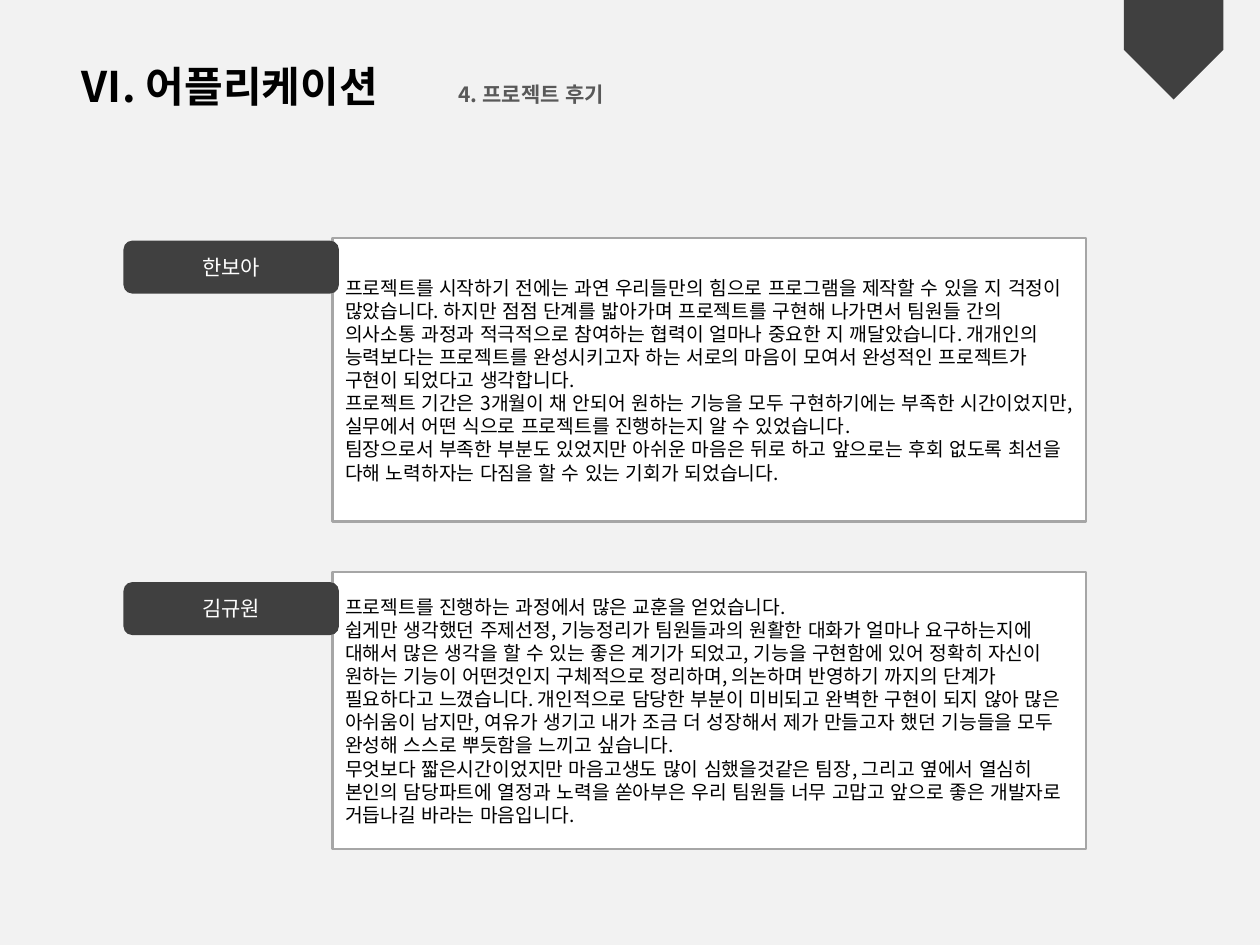
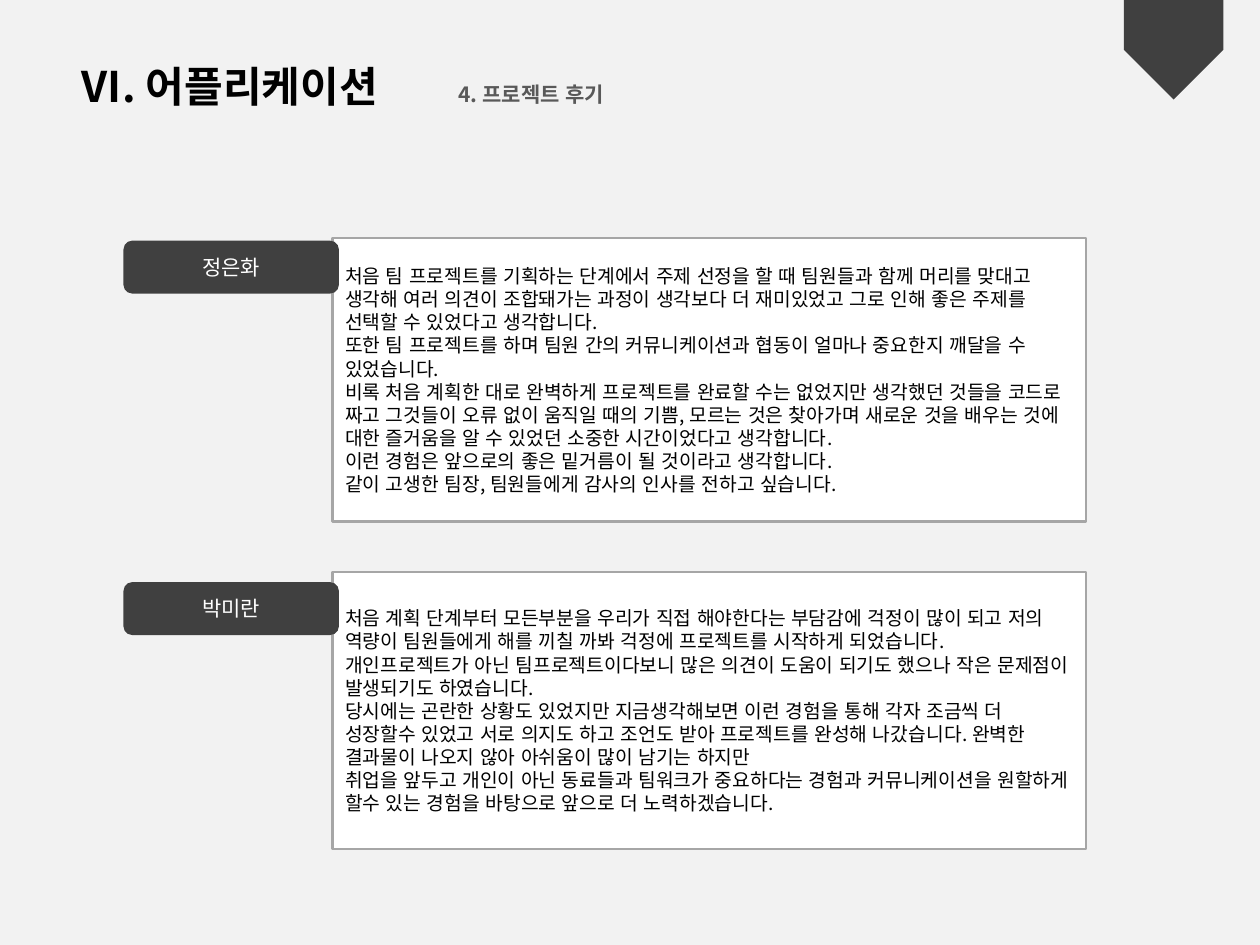
"""Build two slides of project reviews, two team members on each."""
from lxml.etree import SubElement
from pptx import Presentation
from pptx.dml.color import RGBColor
from pptx.enum.lang import MSO_LANGUAGE_ID
from pptx.enum.shapes import MSO_SHAPE
from pptx.enum.text import MSO_ANCHOR, MSO_AUTO_SIZE, PP_ALIGN
from pptx.oxml.ns import qn
from pptx.util import Inches, Pt

FONT = "Noto Sans CJK KR"
HUES = {"back": "F2F2F2", "dark": "404040", "edge": "A6A6A6",
        "ink": "000000", "soft": "595959", "white": "FFFFFF"}

TITLE = "Ⅵ. 어플리케이션\t"
TOPIC = "4. 프로젝트 후기"

PAGES = [
    [
        ("한보아", [
            "프로젝트를 시작하기 전에는 과연 우리들만의 힘으로 프로그램을 제작할 수 있을 지 걱정이 많았습니다. "
            "하지만 점점 단계를 밟아가며 프로젝트를 구현해 나가면서 팀원들 간의 의사소통 과정과 적극적으로 "
            "참여하는 협력이 얼마나 중요한 지 깨달았습니다. 개개인의 능력보다는 프로젝트를 완성시키고자 하는 "
            "서로의 마음이 모여서 완성적인 프로젝트가 구현이 되었다고 생각합니다.",
            "프로젝트 기간은 3개월이 채 안되어 원하는 기능을 모두 구현하기에는 부족한 시간이었지만, "
            "실무에서 어떤 식으로 프로젝트를 진행하는지 알 수 있었습니다.",
            "팀장으로서 부족한 부분도 있었지만 아쉬운 마음은 뒤로 하고 앞으로는 후회 없도록 최선을 다해 "
            "노력하자는 다짐을 할 수 있는 기회가 되었습니다.",
        ]),
        ("김규원", [
            "프로젝트를 진행하는 과정에서 많은 교훈을 얻었습니다.",
            "쉽게만 생각했던 주제선정, 기능정리가 팀원들과의 원활한 대화가 얼마나 요구하는지에 대해서 많은 "
            "생각을 할 수 있는 좋은 계기가 되었고, 기능을 구현함에 있어 정확히 자신이 원하는 기능이 "
            "어떤것인지 구체적으로 정리하며, 의논하며 반영하기 까지의 단계가 필요하다고 느꼈습니다. "
            "개인적으로 담당한 부분이 미비되고 완벽한 구현이 되지 않아 많은 아쉬움이 남지만, 여유가 생기고 "
            "내가 조금 더 성장해서 제가 만들고자 했던 기능들을 모두 완성해 스스로 뿌듯함을 느끼고 싶습니다.",
            "무엇보다 짧은시간이었지만 마음고생도 많이 심했을것같은 팀장, 그리고 옆에서 열심히 본인의 "
            "담당파트에 열정과 노력을 쏟아부은 우리 팀원들 너무 고맙고 앞으로 좋은 개발자로 거듭나길 바라는 "
            "마음입니다.",
        ]),
    ],
    [
        ("정은화", [
            "처음 팀 프로젝트를 기획하는 단계에서 주제 선정을 할 때 팀원들과 함께 머리를 맞대고 생각해 여러 "
            "의견이 조합돼가는 과정이 생각보다 더 재미있었고 그로 인해 좋은 주제를 선택할 수 있었다고 생각합니다.",
            "또한 팀 프로젝트를 하며 팀원 간의 커뮤니케이션과 협동이 얼마나 중요한지 깨달을 수 있었습니다.",
            "비록 처음 계획한 대로 완벽하게 프로젝트를 완료할 수는 없었지만 생각했던 것들을 코드로 짜고 "
            "그것들이 오류 없이 움직일 때의 기쁨, 모르는 것은 찾아가며 새로운 것을 배우는 것에 대한 즐거움을 "
            "알 수 있었던 소중한 시간이었다고 생각합니다.",
            "이런 경험은 앞으로의 좋은 밑거름이 될 것이라고 생각합니다.",
            "같이 고생한 팀장, 팀원들에게 감사의 인사를 전하고 싶습니다.",
        ]),
        ("박미란", [
            "처음 계획 단계부터 모든부분을 우리가 직접 해야한다는 부담감에 걱정이 많이 되고 저의 역량이 "
            "팀원들에게 해를 끼칠 까봐 걱정에 프로젝트를 시작하게 되었습니다.",
            "개인프로젝트가 아닌 팀프로젝트이다보니 많은 의견이 도움이 되기도 했으나 작은 문제점이 "
            "발생되기도 하였습니다.",
            "당시에는 곤란한 상황도 있었지만 지금생각해보면 이런 경험을 통해 각자 조금씩 더 성장할수 있었고 "
            "서로 의지도 하고 조언도 받아 프로젝트를 완성해 나갔습니다. 완벽한 결과물이 나오지 않아 아쉬움이 "
            "많이 남기는 하지만",
            "취업을 앞두고 개인이 아닌 동료들과 팀워크가 중요하다는 경험과 커뮤니케이션을 원할하게 할수 있는 "
            "경험을 바탕으로 앞으로 더 노력하겠습니다.",
        ]),
    ],
]

ROWS = [{"top": 1.89, "high": 2.25, "tag": 1.91},
        {"top": 4.54, "high": 2.2, "tag": 4.62}]


def color(name):
    return RGBColor.from_string(HUES[name])


def write(para, text, size=11, hue="ink", bold=False, align=PP_ALIGN.LEFT):
    para.alignment = align
    run = para.add_run()
    run.text = text
    font = run.font
    font.name, font.size, font.bold = FONT, Pt(size), bold
    font.color.rgb = color(hue)
    font.language_id = MSO_LANGUAGE_ID.KOREAN
    SubElement(font._element, qn("a:ea"), typeface=FONT)


def place(shape, box):
    shape.left, shape.top, shape.width, shape.height = map(Inches, box)


def draw(slide, kind, box, fill, edge=None):
    shape = slide.shapes.add_shape(kind, *map(Inches, box))
    shape.shadow.inherit = False
    shape.fill.solid()
    shape.fill.fore_color.rgb = color(fill)
    if edge:
        shape.line.color.rgb = color(edge)
        shape.line.width = Pt(1.5)
    else:
        shape.line.fill.background()
    shape.text_frame.word_wrap = True
    shape.text_frame.vertical_anchor = MSO_ANCHOR.MIDDLE
    return shape


def head(slide):
    title = slide.shapes.title
    place(title, (0.54, 0.43, 4.51, 0.5))
    frame = title.text_frame
    frame.word_wrap = False
    frame.auto_size = MSO_AUTO_SIZE.SHAPE_TO_FIT_TEXT
    frame.vertical_anchor = MSO_ANCHOR.TOP
    para = frame.paragraphs[0]
    tabs = SubElement(para._p.get_or_add_pPr(), qn("a:tabLst"))
    SubElement(tabs, qn("a:tab"), pos=str(Inches(3)), algn="l")
    write(para, TITLE, size=24, bold=True)
    write(para, TOPIC, size=12, hue="soft", bold=True)
    flag = draw(slide, MSO_SHAPE.PENTAGON, (8.92, 0, 0.79, 0.79), "dark")
    flag.rotation = 90


def review(slide, row, name, paras):
    box = (2.64, row["top"], 5.98, row["high"])
    frame = draw(slide, MSO_SHAPE.RECTANGLE, box, "white", "edge").text_frame
    for i, text in enumerate(paras):
        write(frame.add_paragraph() if i else frame.paragraphs[0], text)
    box = (0.98, row["tag"], 1.71, 0.42)
    tag = draw(slide, MSO_SHAPE.ROUNDED_RECTANGLE, box, "dark")
    write(tag.text_frame.paragraphs[0], name, size=12, hue="white",
          align=PP_ALIGN.CENTER)


def main():
    deck = Presentation()
    deck.slide_width, deck.slide_height = Inches(10), Inches(7.5)
    back = deck.slide_master.background.fill
    back.solid()
    back.fore_color.rgb = color("back")
    for page in PAGES:
        slide = deck.slides.add_slide(deck.slide_layouts[5])
        head(slide)
        for row, (name, paras) in zip(ROWS, page):
            review(slide, row, name, paras)
    deck.save("out.pptx")


if __name__ == "__main__":
    main()
